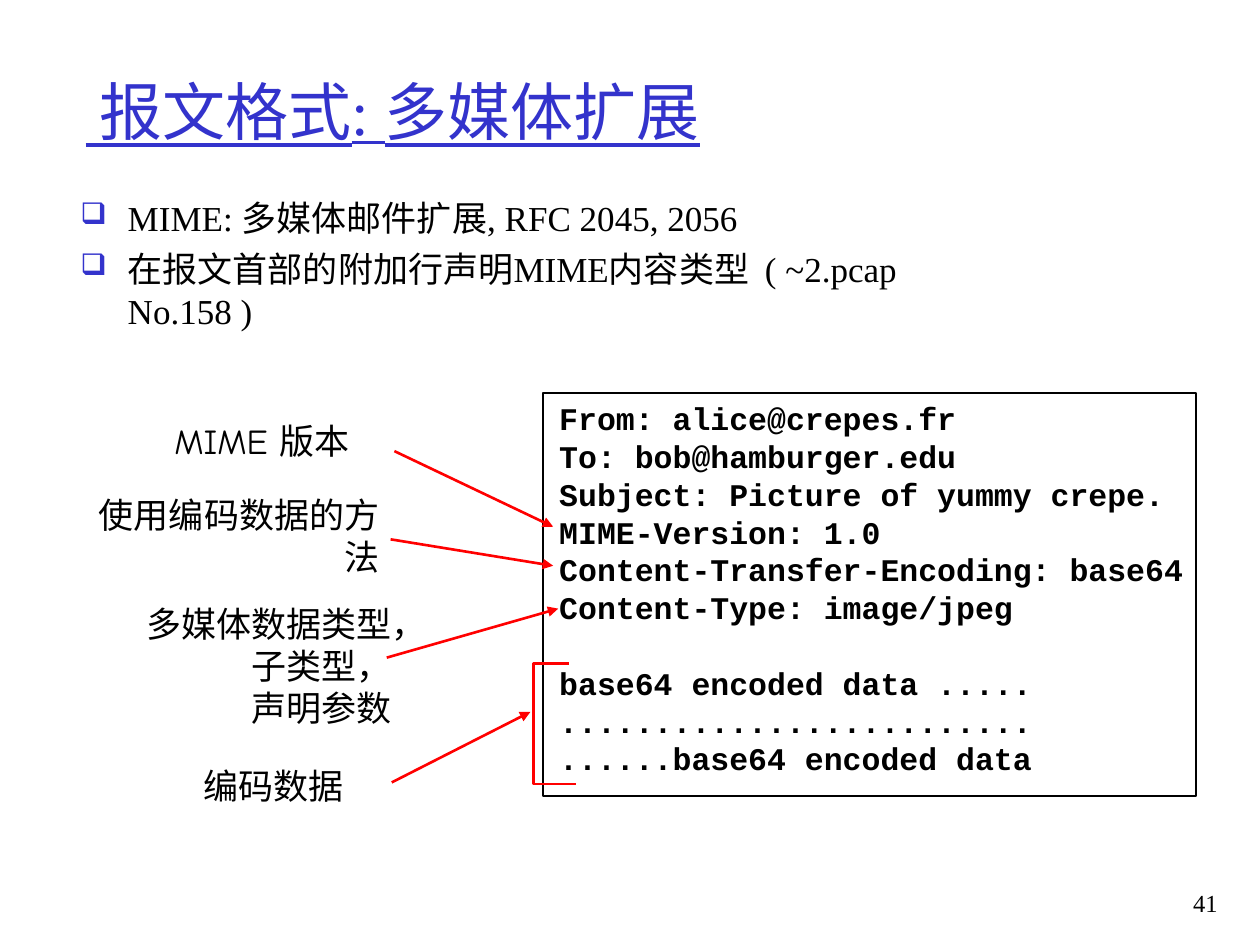
from lxml.etree import SubElement
from pptx import Presentation
from pptx.dml.color import RGBColor
from pptx.enum.shapes import MSO_CONNECTOR, MSO_SHAPE
from pptx.enum.text import MSO_ANCHOR, PP_ALIGN
from pptx.oxml.ns import qn
from pptx.util import Pt

BLACK, BLUE, RED = "000000", "3333CC", "FF0000"
SERIF, MONO, COMIC = "Times New Roman", "Courier New", "Comic Neue"

BULLETS = [
    ["MIME: 多媒体邮件扩展, RFC 2045, 2056"],
    ["在报文首部的附加行声明MIME内容类型  ( ~2.pcap", "No.158 )"],
]
HEADERS = [
    "From: alice@crepes.fr",
    "To: bob@hamburger.edu",
    "Subject: Picture of yummy crepe.",
    "MIME-Version: 1.0",
    "Content-Transfer-Encoding: base64",
    "Content-Type: image/jpeg",
]
ENCODED = [
    "base64 encoded data .....",
    ".........................",
    "......base64 encoded data",
]
LABELS = [
    (["MIME 版本"], (90, 236.2, 119.5, 31.7), PP_ALIGN.CENTER),
    (["使用编码数据的方法"], (29.5, 278.6, 194.4, 31.7), PP_ALIGN.RIGHT),
    (["多媒体数据类型，", "子类型，", "声明参数"],
     (56.9, 340.6, 174.2, 79.2), PP_ALIGN.RIGHT),
    (["编码数据"], (109.4, 433.4, 94.3, 31.7), PP_ALIGN.CENTER),
]
ARROWS = [
    (225.4, 257.8, 316.1, 301),
    (223.2, 308.2, 316.1, 323.3),
    (221, 375.8, 319, 347.8),
    (223.9, 447.1, 303.1, 406.8),
]
BRACKET = [(324.7, 379.4), (304.6, 378.7), (304.6, 447.8), (329, 447.8)]


def rgb(color):
    return RGBColor.from_string(color)


def set_line(shape, color, width):
    shape.line.color.rgb = rgb(color)
    shape.line.width = Pt(width)


def add_run(p, text, font, size, color=BLACK, bold=False, underline=False):
    r = p.add_run()
    r.text = text
    r.font.name = font
    r.font.size = Pt(size)
    r.font.color.rgb = rgb(color)
    r.font.bold = bold
    r.font.underline = underline


def add_box(s, box, wrap=True):
    tf = s.shapes.add_textbox(*map(Pt, box)).text_frame
    tf.word_wrap = wrap
    return tf


def add_paragraphs(tf, lines, font, size, align=PP_ALIGN.LEFT, **style):
    """Fill an empty text frame with one paragraph per line."""
    for i, text in enumerate(lines):
        p = tf.add_paragraph() if i else tf.paragraphs[0]
        p.alignment = align
        add_run(p, text, font, size, **style)


def set_bullet(p):
    pPr = p._p.get_or_add_pPr()
    pPr.set("marL", str(Pt(27)))
    pPr.set("indent", str(-Pt(27)))
    color = SubElement(pPr, qn("a:buClr"))
    SubElement(color, qn("a:srgbClr"), val=BLUE)
    SubElement(pPr, qn("a:buSzPct"), val="85000")
    SubElement(pPr, qn("a:buChar"), char="❑")


def add_bullets(s):
    tf = add_box(s, (38.9, 108.7, 576.7, 365.8))
    for i, lines in enumerate(BULLETS):
        p = tf.add_paragraph() if i else tf.paragraphs[0]
        if i:
            p.space_before = Pt(5)
        set_bullet(p)
        for j, text in enumerate(lines):
            if j:
                p.add_line_break()
            add_run(p, text, SERIF, 20)


def add_message(s):
    tf = add_box(s, (312.5, 224.6, 391.7, 244.8))
    add_paragraphs(tf, HEADERS + ENCODED, MONO, 18, bold=True)
    tf.paragraphs[len(HEADERS)].space_before = Pt(21.6)
    frame = s.shapes.add_shape(
        MSO_SHAPE.RECTANGLE, Pt(310.3), Pt(224.6), Pt(373), Pt(230.4))
    frame.shadow.inherit = False
    frame.fill.background()
    set_line(frame, BLACK, 1)


def add_arrow(s, points):
    arrow = s.shapes.add_connector(MSO_CONNECTOR.STRAIGHT, *map(Pt, points))
    set_line(arrow, RED, 1.5)
    SubElement(arrow.line._get_or_add_ln(), qn("a:tailEnd"), type="triangle")
    SubElement(arrow._element.spPr, qn("a:effectLst"))


def add_bracket(s):
    builder = s.shapes.build_freeform(*BRACKET[0], scale=Pt(1))
    builder.add_line_segments(BRACKET[1:], close=False)
    bracket = builder.convert_to_shape()
    bracket.shadow.inherit = False
    bracket.fill.background()
    set_line(bracket, RED, 1.5)


def main():
    prs = Presentation()
    prs.slide_width, prs.slide_height = Pt(720), Pt(540)
    s = prs.slides.add_slide(prs.slide_layouts[6])

    title = add_box(s, (41.8, 18, 660, 90))
    title.vertical_anchor = MSO_ANCHOR.MIDDLE
    add_paragraphs(title, [" 报文格式: 多媒体扩展"], SERIF, 36,
                   color=BLUE, underline=True)
    add_bullets(s)
    add_message(s)
    for lines, box, align in LABELS:
        add_paragraphs(add_box(s, box, wrap=False), lines, COMIC, 20, align)
    for points in ARROWS:
        add_arrow(s, points)
    add_bracket(s)
    page = add_box(s, (653.8, 504, 49, 36))
    add_paragraphs(page, ["41"], SERIF, 14, PP_ALIGN.RIGHT)

    prs.save("out.pptx")


if __name__ == "__main__":
    main()
